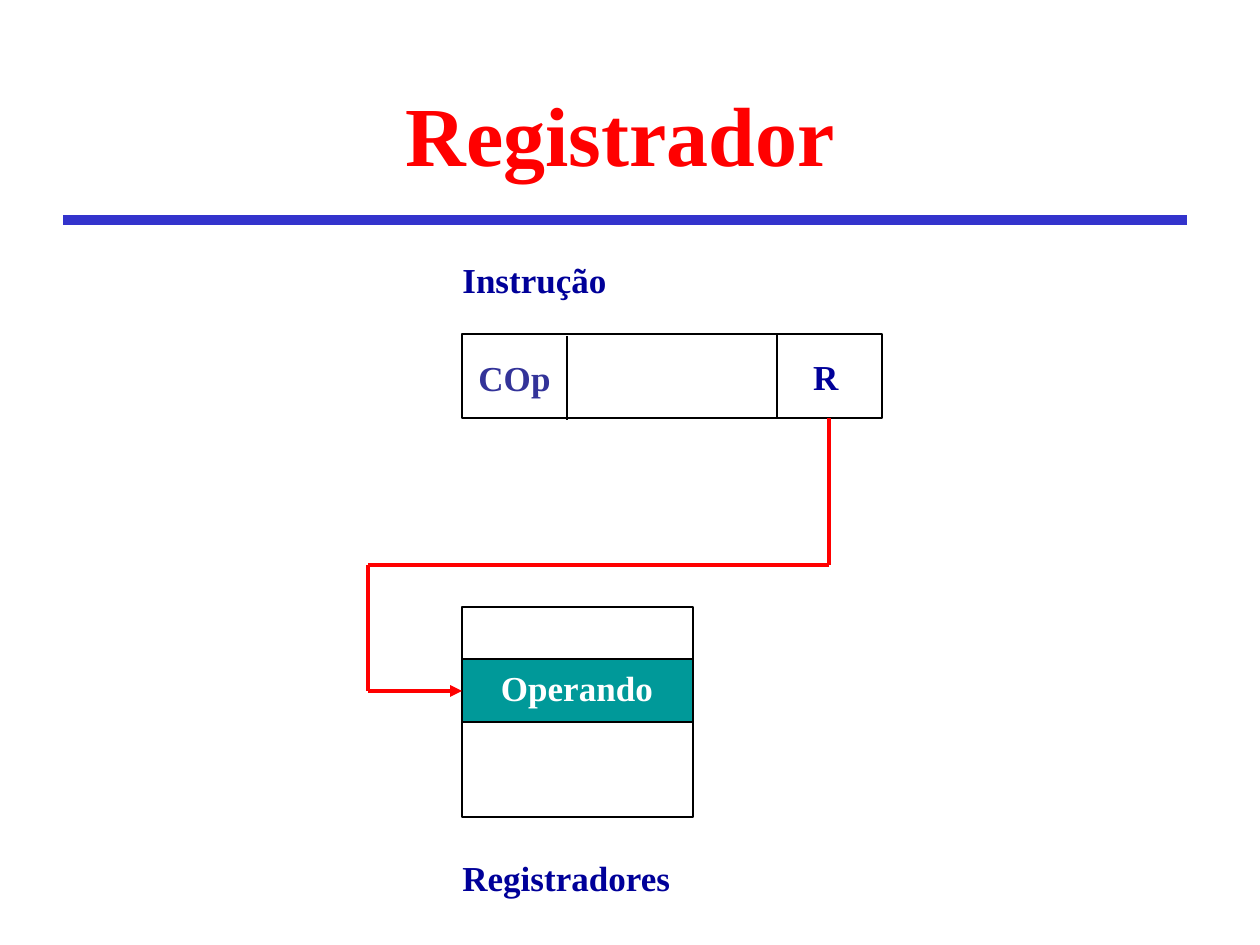
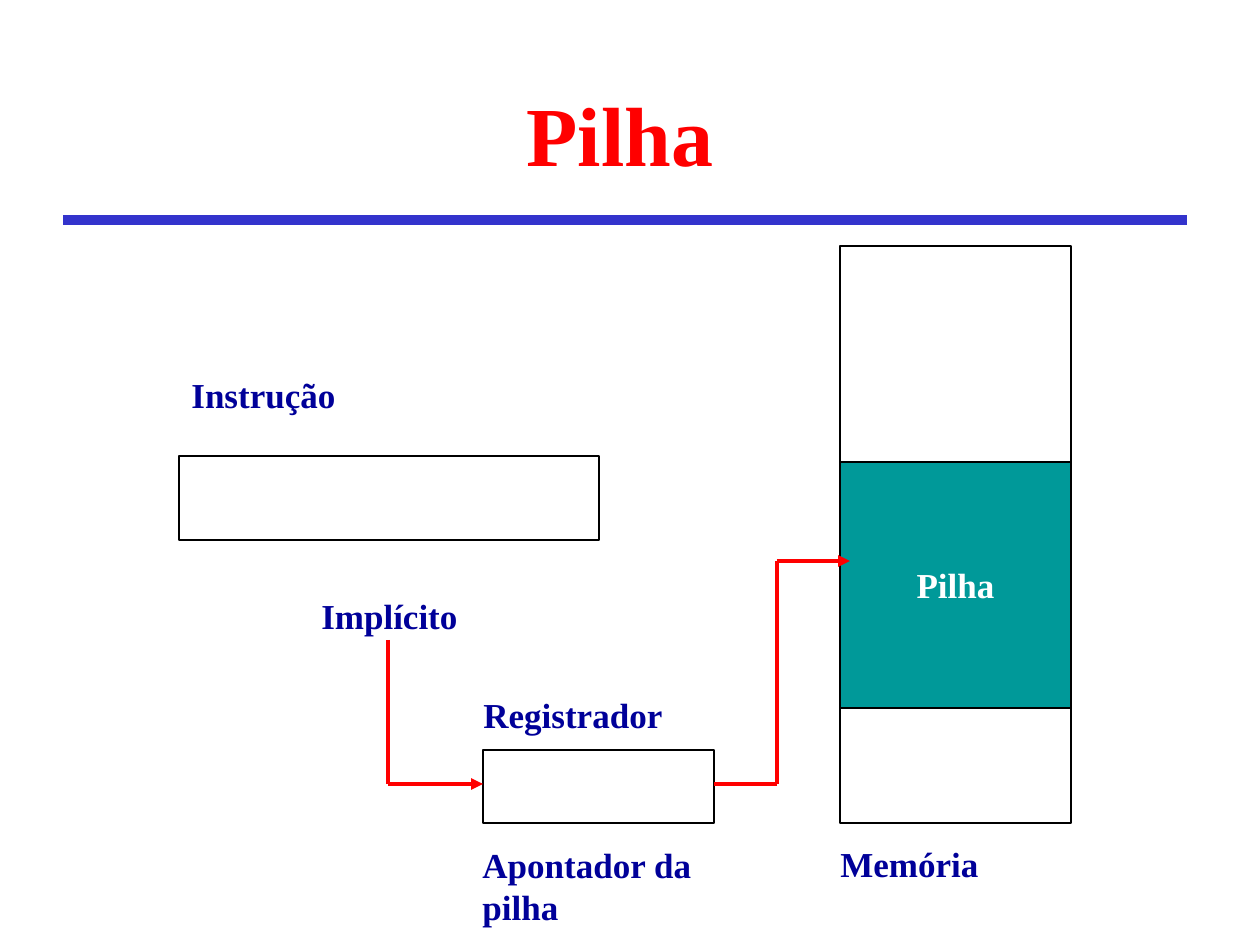
from itertools import pairwise

from pptx import Presentation
from pptx import util as u
from pptx.dml.color import RGBColor
from pptx.enum import shapes, text
from pptx.oxml.ns import qn
from lxml import etree

PX = 914400 / 126
FONT = "Times New Roman"
WHITE, BLACK, RED = "FFFFFF", "000000", "FF0000"
NAVY, INDIGO, BLUE, TEAL = "000099", "333399", "3333CC", "009999"
LEFT, CENTER = text.PP_ALIGN.LEFT, text.PP_ALIGN.CENTER
TOP, MIDDLE, BOTTOM = (text.MSO_ANCHOR.TOP, text.MSO_ANCHOR.MIDDLE,
                       text.MSO_ANCHOR.BOTTOM)

# Shared sizes in px
FIELD_W, FIELD_H = 420, 84
BLOCK_W = 231
LABEL_H = 55


def px(*values):
    return [u.Emu(round(v * PX)) for v in values]


def rgb(color):
    return RGBColor.from_string(color)


def write(sp, lines, color, size=20, align=LEFT, anchor=TOP, wrap=False):
    tf = sp.text_frame
    tf.word_wrap = wrap
    tf.auto_size = text.MSO_AUTO_SIZE.NONE
    tf.vertical_anchor = anchor
    for i, line in enumerate(lines):
        p = tf.add_paragraph() if i else tf.paragraphs[0]
        p.alignment = align
        r = p.add_run()
        r.text = line
        r.font.name, r.font.size, r.font.bold = FONT, u.Pt(size), True
        r.font.color.rgb = rgb(color)


def label(s, x, y, w, *lines, h=LABEL_H, color=NAVY, **style):
    sp = s.shapes.add_textbox(*px(x, y, w, h))
    write(sp, lines, color, **style)


def box(s, x, y, w, h, fill=WHITE):
    sp = s.shapes.add_shape(shapes.MSO_SHAPE.RECTANGLE, *px(x, y, w, h))
    sp.shadow.inherit = False
    sp.fill.solid()
    sp.fill.fore_color.rgb = rgb(fill)
    sp.line.color.rgb = rgb(BLACK)
    sp.line.width = u.Pt(0.75)
    return sp


def line(s, start, end, color=BLACK, width=0.75, arrow=False):
    cn = s.shapes.add_connector(shapes.MSO_CONNECTOR.STRAIGHT,
                                *px(*start, *end))
    cn.line.color.rgb = rgb(color)
    cn.line.width = u.Pt(width)
    if arrow:
        etree.SubElement(cn.line._get_or_add_ln(), qn("a:tailEnd"),
                         type="triangle")
    etree.SubElement(cn._element.spPr, qn("a:effectLst"))


def route(s, *points):
    """Red path of straight segments that ends in an arrowhead."""
    for start, end in pairwise(points):
        line(s, start, end, RED, 2.25, arrow=end == points[-1])


def titled_slide(prs, title):
    s = prs.slides.add_slide(prs.slide_layouts[5])
    line(s, (63, 220), (1187, 220), BLUE, 6)
    sp = s.shapes.title
    sp.left, sp.top, sp.width, sp.height = px(55, 32, 1130, 158)
    write(sp, [title], RED, size=48, align=CENTER, anchor=BOTTOM, wrap=True)
    return s


def register_slide(prs):
    s = titled_slide(prs, "Registrador")
    # Instruction fields
    label(s, 450, 252, 169, "Instrução")
    box(s, 462, 334, FIELD_W, FIELD_H)
    line(s, (567, 336), (567, 336 + FIELD_H))
    line(s, (777, 334), (777, 334 + FIELD_H))
    label(s, 466, 350, 97, "COp", color=INDIGO, align=CENTER, anchor=MIDDLE)
    label(s, 801, 349, 50, "R", align=CENTER)
    # Register bank
    box(s, 462, 607, BLOCK_W, 210)
    box(s, 462, 659, BLOCK_W, 63, TEAL)
    label(s, 489, 660, 176, "Operando", color=WHITE, align=CENTER)
    label(s, 450, 850, 233, "Registradores")
    # Field R selects the operand
    route(s, (829, 418), (829, 565), (368, 565), (368, 691), (462, 691))


def stack_slide(prs):
    s = titled_slide(prs, "Pilha")
    # Instruction
    label(s, 179, 367, 169, "Instrução")
    box(s, 179, 456, FIELD_W, FIELD_H)
    label(s, 309, 588, 161, "Implícito", align=CENTER)
    # Stack pointer register
    label(s, 471, 687, 204, "Registrador", anchor=MIDDLE)
    box(s, 483, 750, BLOCK_W, 73)
    label(s, 470, 837, 234, "Apontador da", "pilha", h=97)
    # Memory holding the stack
    box(s, 840, 246, BLOCK_W, 577)
    stack = box(s, 840, 462, BLOCK_W, 246, TEAL)
    write(stack, ["Pilha"], WHITE, align=CENTER, anchor=MIDDLE)
    label(s, 828, 836, 163, "Memória")
    # Implicit reference, then pointer into memory
    route(s, (388, 640), (388, 784), (483, 784))
    route(s, (714, 784), (777, 784), (777, 561), (850, 561))


def main():
    prs = Presentation()
    prs.slide_width, prs.slide_height = px(1260, 945)
    register_slide(prs)
    stack_slide(prs)
    prs.save("out.pptx")


if __name__ == "__main__":
    main()
